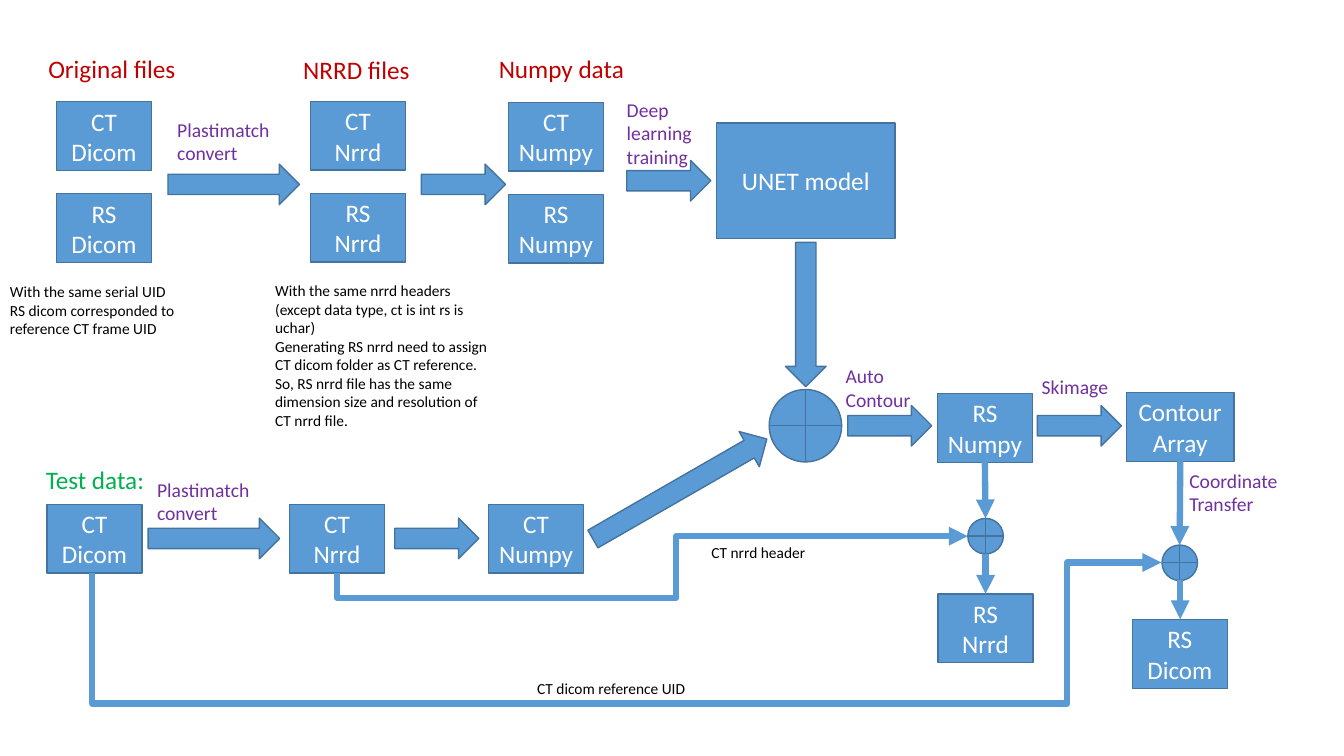
from pptx import Presentation
from pptx import util as u
from pptx.dml.color import RGBColor
from pptx.enum import shapes, text
from pptx.oxml.ns import qn
from lxml import etree

COLORS = {
    "fill": "5B9BD5", "edge": "43739E", "white": "FFFFFF", "black": "000000",
    "heading": "C00000", "step": "7030A0", "test": "00B050",
}
FONT = "Calibri"
BOX_W, BOX_H = 67.9, 49
ARROW_H, SHORT, LONG = 29, 60, 94


def rgb(name):
    return RGBColor.from_string(COLORS[name])


def write(tf, lines, size, color, align=None):
    tf.text = "\n".join(lines)
    for p in tf.paragraphs:
        p.font.size = u.Pt(size)
        p.font.name = FONT
        p.font.color.rgb = rgb(color)
        if align is not None:
            p.alignment = align


def shape(s, kind, x, y, w, h, rotation=0):
    sp = s.shapes.add_shape(kind, u.Pt(x), u.Pt(y), u.Pt(w), u.Pt(h))
    sp.shadow.inherit = False
    sp.fill.solid()
    sp.fill.fore_color.rgb = rgb("fill")
    sp.line.color.rgb = rgb("edge")
    sp.line.width = u.Pt(1)
    sp.rotation = rotation
    return sp


def box(s, x, y, *lines, w=BOX_W, h=BOX_H):
    sp = shape(s, shapes.MSO_SHAPE.RECTANGLE, x, y, w, h)
    sp.text_frame.vertical_anchor = text.MSO_ANCHOR.MIDDLE
    write(sp.text_frame, lines, 18, "white", text.PP_ALIGN.CENTER)


def arrow(s, x, y, w, rotation=0):
    shape(s, shapes.MSO_SHAPE.RIGHT_ARROW, x, y, w, ARROW_H, rotation)


def junction(s, x, y, d):
    shape(s, shapes.MSO_SHAPE.FLOWCHART_OR, x, y, d, d)


def label(s, x, y, w, h, size, color, *lines, wrap=True):
    sp = s.shapes.add_textbox(u.Pt(x), u.Pt(y), u.Pt(w), u.Pt(h))
    sp.text_frame.word_wrap = wrap
    write(sp.text_frame, lines, size, color)


def line(s, x1, y1, x2, y2, kind=shapes.MSO_CONNECTOR.STRAIGHT):
    c = s.shapes.add_connector(kind, u.Pt(x1), u.Pt(y1), u.Pt(x2), u.Pt(y2))
    c.line.color.rgb = rgb("fill")
    c.line.width = u.Pt(4.5)
    etree.SubElement(c.line._get_or_add_ln(), qn("a:tailEnd"), type="triangle")
    etree.SubElement(c._element.spPr, qn("a:effectLst"))
    return c


def detour(s, x1, y1, x2, y2, low, turn):
    """Line that drops to low, runs right to turn, then rises to its end."""
    w, h = y1 - y2, x2 - x1
    cx, cy = (x1 + x2) / 2, (y1 + y2) / 2
    c = line(s, cx + w / 2, cy + h / 2, cx - w / 2, cy - h / 2,
             shapes.MSO_CONNECTOR.ELBOW)
    pr = c._element.spPr
    pr.find(qn("a:xfrm")).set("rot", "5400000")
    geom = pr.find(qn("a:prstGeom"))
    geom.set("prst", "bentConnector4")
    guides = geom.find(qn("a:avLst"))
    for name, ratio in (("adj1", (y1 - low) / w), ("adj2", (turn - x1) / h)):
        etree.SubElement(guides, qn("a:gd"), name=name,
                         fmla=f"val {round(ratio * 100000)}")


def main():
    prs = Presentation()
    prs.slide_width, prs.slide_height = u.Pt(960), u.Pt(540)
    s = prs.slides.add_slide(prs.slide_layouts[6])

    # Training data: a CT box above an RS box for each format
    for x, y, fmt in ((40.3, 72.7, "Dicom"), (221.8, 72.5, "Nrrd"),
                      (363.2, 73.2, "Numpy")):
        box(s, x, y, f"CT {fmt}")
        box(s, x, y + 65.7, "RS", fmt)
    box(s, 511.9, 87.8, "UNET model", w=127.4, h=82.8)
    for x, y, w in ((120, 117.2, LONG), (301, 117.2, SHORT), (447.7, 114.6, SHORT)):
        arrow(s, x, y, w)

    # Test data
    for x, fmt in ((33.5, "Dicom"), (206.8, "Nrrd"), (349, "Numpy")):
        box(s, x, 360.3, f"CT {fmt}")
    arrow(s, 105.8, 370.1, LONG)
    arrow(s, 282, 370.1, SHORT)

    # Model and test data meet
    junction(s, 549.4, 278.2, 51.8)
    arrow(s, 524.1, 210.2, 103, 90)
    arrow(s, 414, 334.8, 143.3, 330.1)

    # Results
    box(s, 669.6, 281.2, "RS", "Numpy")
    box(s, 804.5, 280.5, "Contour", "Array", w=77)
    box(s, 670, 424.4, "RS", "Nrrd")
    box(s, 808.8, 442.6, "RS", "Dicom")
    for x in (605.5, 741):
        arrow(s, x, 289.6, SHORT)
    junction(s, 691.3, 370.3, 25.4)
    junction(s, 830, 389.3, 25.4)

    # Thin lines
    detour(s, 240.6, 409, 691.3, 383, 427, 483.2)
    detour(s, 65.9, 409, 829.6, 401.8, 502.6, 762.6)
    for x1, y1, x2, y2 in ((703.5, 330, 704, 370.3), (704, 396, 704, 424.2),
                           (843.1, 329.3, 842.6, 389.3), (843, 414, 843, 442.3)):
        line(s, x1, y1, x2, y2)

    # Headings
    label(s, 27.4, 34.6, 106.6, 29, 18, "heading", "Original files", wrap=False)
    label(s, 209.5, 35.3, 99.4, 29, 18, "heading", "NRRD files")
    label(s, 349.2, 34.6, 103.7, 29, 18, "heading", "Numpy data")
    label(s, 25.6, 328.3, 85.7, 29, 18, "test", "Test data:", wrap=False)

    # Step names
    for x, y, w, h, words in (
            (119.5, 80.6, 81.4, 41, "Plastimatch convert"),
            (105.1, 337.7, 81.4, 41, "Plastimatch convert"),
            (440.6, 66.2, 61.2, 58.3, "Deep learning training"),
            (596.9, 256.6, 63.4, 41, "Auto Contour"),
            (737, 264.4, 63.4, 24.5, "Skimage"),
            (842.4, 331.2, 85.7, 41, "Coordinate Transfer")):
        label(s, x, y, w, h, 14, "step", words)

    # Notes
    label(s, 0, 198, 151.2, 47.5, 11, "black", "With the same serial UID",
          "RS dicom corresponded to reference CT frame UID")
    label(s, 189.4, 197.3, 171.4, 113.8, 11, "black",
          "With the same nrrd headers (except data type, ct is int rs is uchar)",
          "Generating RS nrrd need to assign CT dicom folder as CT reference. "
          "So, RS nrrd file has the same dimension size and resolution of "
          "CT nrrd file.")
    label(s, 501, 384.5, 171.4, 21, 11, "black", "CT nrrd header")
    label(s, 376.6, 481.7, 171.4, 21, 11, "black", "CT dicom reference UID")

    prs.save("out.pptx")


main()
